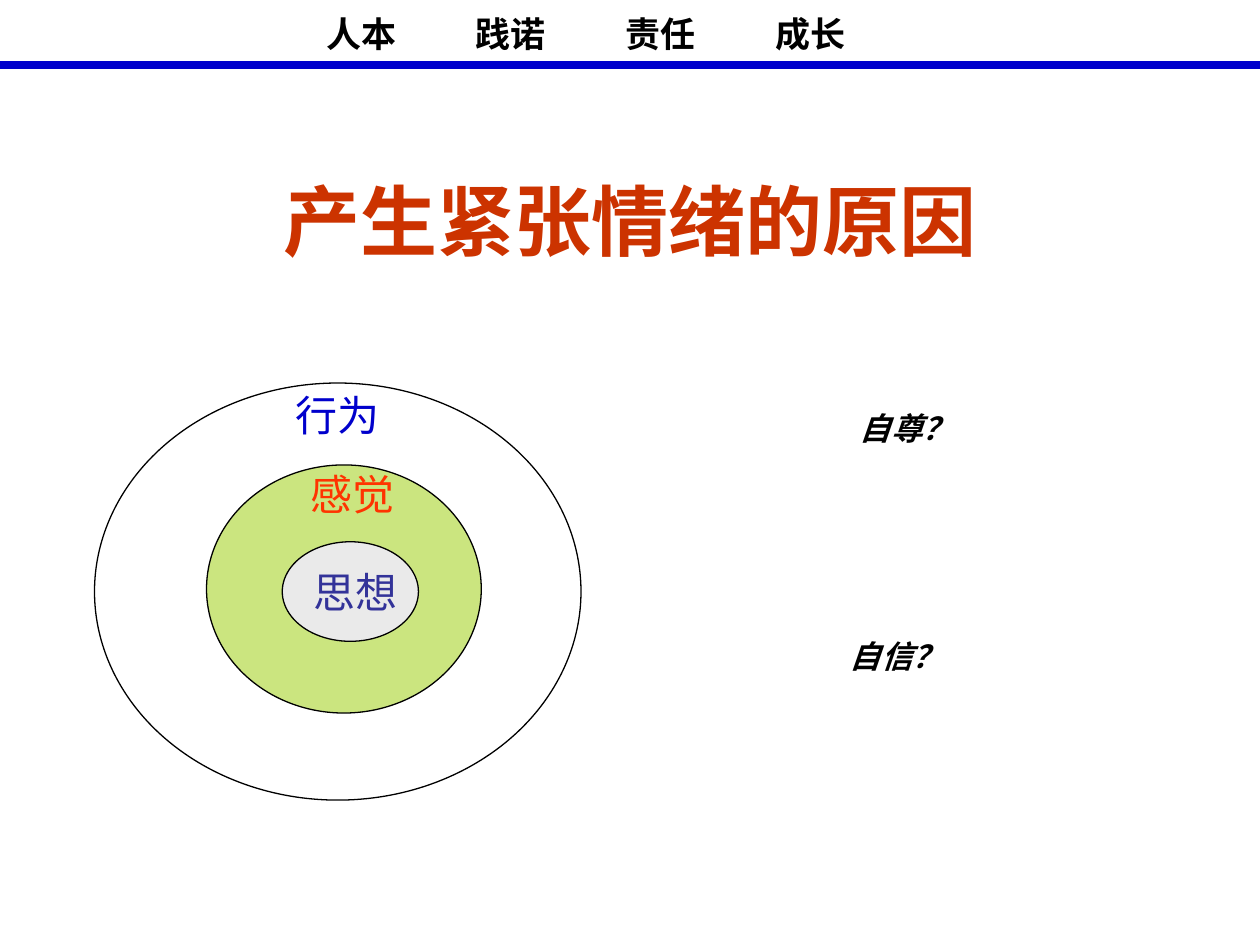
from lxml import etree
from pptx import Presentation
from pptx.dml.color import RGBColor
from pptx.enum.shapes import MSO_CONNECTOR, MSO_SHAPE
from pptx.enum.text import MSO_ANCHOR, PP_ALIGN
from pptx.oxml.ns import qn
from pptx.util import Pt

STRAIGHT = MSO_CONNECTOR.STRAIGHT
OVAL = MSO_SHAPE.OVAL
TOP, MIDDLE = MSO_ANCHOR.TOP, MSO_ANCHOR.MIDDLE
LEFT, CENTER = PP_ALIGN.LEFT, PP_ALIGN.CENTER

COLORS = {
    "black": "000000",
    "blue": "0000CC",
    "title": "CC3300",
    "feeling": "FF3300",
    "thought": "333399",
    "green": "99CC00",
    "gray": "EAEAEA",
}
CJK = "Noto Sans CJK SC"
CJK_ITALIC = "Noto Sans CJK JP"


def rgb(name):
    return RGBColor.from_string(COLORS[name])


class SlideBuilder:
    def __init__(self, slide):
        self.slide = slide

    def set_text(self, s, text, size, color, font=CJK, ea=CJK, bold=False,
                 italic=False, align=CENTER, anchor=TOP, wrap=True, tab_step=None):
        """Put one styled paragraph in a shape; ea is the East Asian font."""
        tf = s.text_frame
        tf.word_wrap = wrap
        tf.vertical_anchor = anchor
        p = tf.paragraphs[0]
        p.text = text
        p.alignment = align
        if tab_step:
            tabs = etree.SubElement(p._p.get_or_add_pPr(), qn("a:tabLst"))
            for i in range(1, text.count("\t") + 1):
                etree.SubElement(tabs, qn("a:tab"), pos=str(Pt(tab_step * i)), algn="l")
        p.font.size = Pt(size)
        p.font.bold = bold
        p.font.italic = italic
        p.font.color.rgb = rgb(color)
        p.font.name = font
        etree.SubElement(p._p.pPr.find(qn("a:defRPr")), qn("a:ea"), typeface=ea)

    def text(self, x, y, w, h, text, size, color, **style):
        s = self.slide.shapes.add_textbox(Pt(x), Pt(y), Pt(w), Pt(h))
        self.set_text(s, text, size, color, **style)

    def ellipse(self, x, y, w, h, fill=None, alpha=None):
        s = self.slide.shapes.add_shape(OVAL, Pt(x), Pt(y), Pt(w), Pt(h))
        s.shadow.inherit = False
        s.line.color.rgb = rgb("black")
        s.line.width = Pt(0.75)
        if fill is None:
            s.fill.background()
            return s
        s.fill.solid()
        s.fill.fore_color.rgb = rgb(fill)
        if alpha is not None:
            clr = s._element.spPr.find(qn("a:solidFill"))[0]
            etree.SubElement(clr, qn("a:alpha"), val=str(alpha * 1000))
        return s

    def line(self, x1, y1, x2, y2, color, width):
        s = self.slide.shapes.add_connector(STRAIGHT, Pt(x1), Pt(y1), Pt(x2), Pt(y2))
        s.line.color.rgb = rgb(color)
        s.line.width = Pt(width)
        etree.SubElement(s._element.spPr, qn("a:effectLst"))


def main():
    prs = Presentation()
    prs.slide_width, prs.slide_height = Pt(720), Pt(540)
    b = SlideBuilder(prs.slides.add_slide(prs.slide_layouts[6]))

    values = ["人本", "践诺", "责任", "成长"]
    b.text(179.3, 3.6, 400, 31.7, "\t".join(values), 20, "black",
           bold=True, align=LEFT, tab_step=85.5)
    b.line(0, 37.4, 720, 37.4, "blue", 4.5)

    b.text(42.5, 77, 635, 97.2, "产生紧张情绪的原因", 44, "title",
           font="Arial", bold=True, anchor=MIDDLE)

    b.ellipse(118, 265.7, 157, 141.8, "green", alpha=50)
    b.ellipse(54, 218.9, 278, 238.3)
    thought = b.ellipse(161.3, 309.6, 77.8, 56.9, "gray")
    thought.text_frame.margin_left, thought.text_frame.margin_right = Pt(6), 0
    b.set_text(thought, "思想", 24, "thought", anchor=MIDDLE, wrap=False)
    b.text(144.7, 264.2, 113.8, 36, "感觉", 24, "feeling")
    b.text(126, 218.9, 133.2, 36, "行为", 24, "blue")

    for x, y, question in [(427.7, 230.4, "自尊？"), (421.9, 360.7, "自信？")]:
        b.text(x, y, 181.4, 56.9, question, 18, "black",
               font=CJK_ITALIC, ea=CJK_ITALIC, bold=True, italic=True)

    prs.save("out.pptx")


if __name__ == "__main__":
    main()
